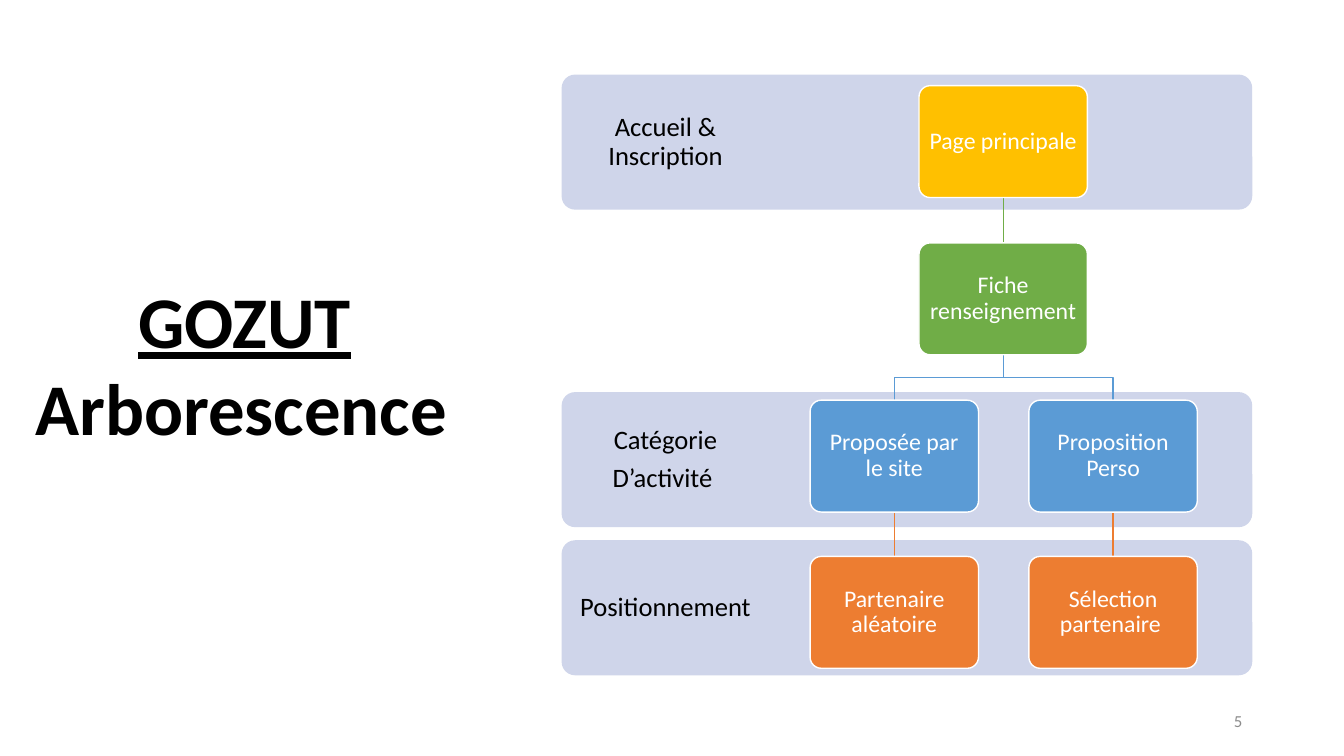
from lxml import etree
from pptx import Presentation
from pptx.dml.color import RGBColor
from pptx.enum.shapes import MSO_CONNECTOR, MSO_SHAPE
from pptx.enum.text import MSO_ANCHOR, PP_ALIGN
from pptx.oxml.ns import qn
from pptx.util import Inches, Pt

ROUNDED = MSO_SHAPE.ROUNDED_RECTANGLE
STRAIGHT = MSO_CONNECTOR.STRAIGHT
MIDDLE = MSO_ANCHOR.MIDDLE
LEFT, CENTER, RIGHT = PP_ALIGN.LEFT, PP_ALIGN.CENTER, PP_ALIGN.RIGHT

BAND_X, BAND_W, BAND_H = 5.57, 6.85, 1.34
NODE_W, NODE_H = 1.67, 1.11
ROWS = [0.85, 2.41, 3.97, 5.52]
TRUNK, SITE, PERSO = 9.95, 8.87, 11.04
GOLD, GREEN, BLUE, ORANGE = "FFC000", "70AD47", "5B9BD5", "ED7D31"
BLACK, WHITE, GREY, BAND_FILL = "000000", "FFFFFF", "8C8C8C", "CFD5EA"


def rgb(value):
    return RGBColor.from_string(value)


class TreeSlide:
    """Draws the elements of a site tree on one slide in a shared style."""

    font = "Calibri"

    def __init__(self, slide):
        self.slide = slide
        self.shapes = slide.shapes

    def set_text(self, sp, text, size, color, align=CENTER, after=0, spacing=0.9, insets=None):
        tf = sp.text_frame
        tf.text = text
        tf.word_wrap = True
        tf.vertical_anchor = MIDDLE
        if insets:
            tf.margin_left, tf.margin_top, tf.margin_right, tf.margin_bottom = map(Inches, insets)
        for p in tf.paragraphs:
            p.alignment = align
            p.line_spacing = spacing
            p.space_after = Pt(after)
            for r in p.runs:
                r.font.name = self.font
                r.font.size = Pt(size)
                r.font.color.rgb = rgb(color)
        return tf

    def textbox(self, x, y, w, h, text, size, color, **style):
        sp = self.shapes.add_textbox(Inches(x), Inches(y), Inches(w), Inches(h))
        return self.set_text(sp, text, size, color, **style)

    def title(self, text):
        tf = self.textbox(0.25, 0.61, 4.35, 6.09, text, 52, BLACK, after=6)
        name, subject = tf.paragraphs
        subject.alignment = LEFT
        for p in (name, subject):
            p.runs[0].font.bold = True
        name.runs[0].font.underline = True

    def box(self, x, y, w, h, fill):
        sp = self.shapes.add_shape(ROUNDED, Inches(x), Inches(y), Inches(w), Inches(h))
        sp.adjustments[0] = 0.1
        sp.shadow.inherit = False
        sp.fill.solid()
        sp.fill.fore_color.rgb = rgb(fill)
        return sp

    def band(self, y, text):
        sp = self.box(BAND_X, y, BAND_W, BAND_H, BAND_FILL)
        sp.line.fill.background()
        self.set_text(sp, text, 19, BLACK, after=6.65, insets=(0.11, 0.11, 4.9, 0.11))

    def node(self, center, row, text, fill):
        sp = self.box(center - NODE_W / 2, ROWS[row], NODE_W, NODE_H, fill)
        sp.line.color.rgb = rgb(WHITE)
        sp.line.width = Pt(1)
        self.set_text(sp, text, 17, WHITE, after=5.95, insets=(0.06,) * 4)

    def link(self, start, end, row, color):
        top, bottom = ROWS[row] + NODE_H, ROWS[row + 1]
        if start == end:
            sp = self.shapes.add_connector(
                STRAIGHT, Inches(start), Inches(top), Inches(end), Inches(bottom))
        else:
            middle = (top + bottom) / 2
            corners = [(start, middle), (end, middle), (end, bottom)]
            builder = self.shapes.build_freeform(Inches(start), Inches(top))
            builder.add_line_segments([(Inches(x), Inches(y)) for x, y in corners], close=False)
            sp = builder.convert_to_shape()
            sp.fill.background()
        sp.line.color.rgb = rgb(color)
        sp.line.width = Pt(1)
        etree.SubElement(sp.element.spPr, qn("a:effectLst"))


def main():
    prs = Presentation()
    prs.slide_width, prs.slide_height = Inches(13.33), Inches(7.5)
    s = TreeSlide(prs.slides.add_slide(prs.slide_layouts[6]))

    s.title("GOZUT\nArborescence")
    for y, text in [
        (5.36, "Positionnement"),
        (3.89, "Catégorie\nD’activité "),
        (0.74, "Accueil & Inscription"),
    ]:
        s.band(y, text)

    s.link(TRUNK, TRUNK, 0, GREEN)
    for branch in (SITE, PERSO):
        s.link(TRUNK, branch, 1, BLUE)
        s.link(branch, branch, 2, ORANGE)

    for center, row, text, fill in [
        (TRUNK, 0, "Page principale", GOLD),
        (TRUNK, 1, "Fiche renseignement ", GREEN),
        (SITE, 2, "Proposée par le site", BLUE),
        (SITE, 3, "Partenaire aléatoire", ORANGE),
        (PERSO, 2, "Proposition Perso", BLUE),
        (PERSO, 3, "Sélection partenaire ", ORANGE),
    ]:
        s.node(center, row, text, fill)

    s.textbox(9.42, 6.95, 3, 0.4, "5", 12, GREY, align=RIGHT, spacing=1.0)
    prs.save("out.pptx")


if __name__ == "__main__":
    main()
